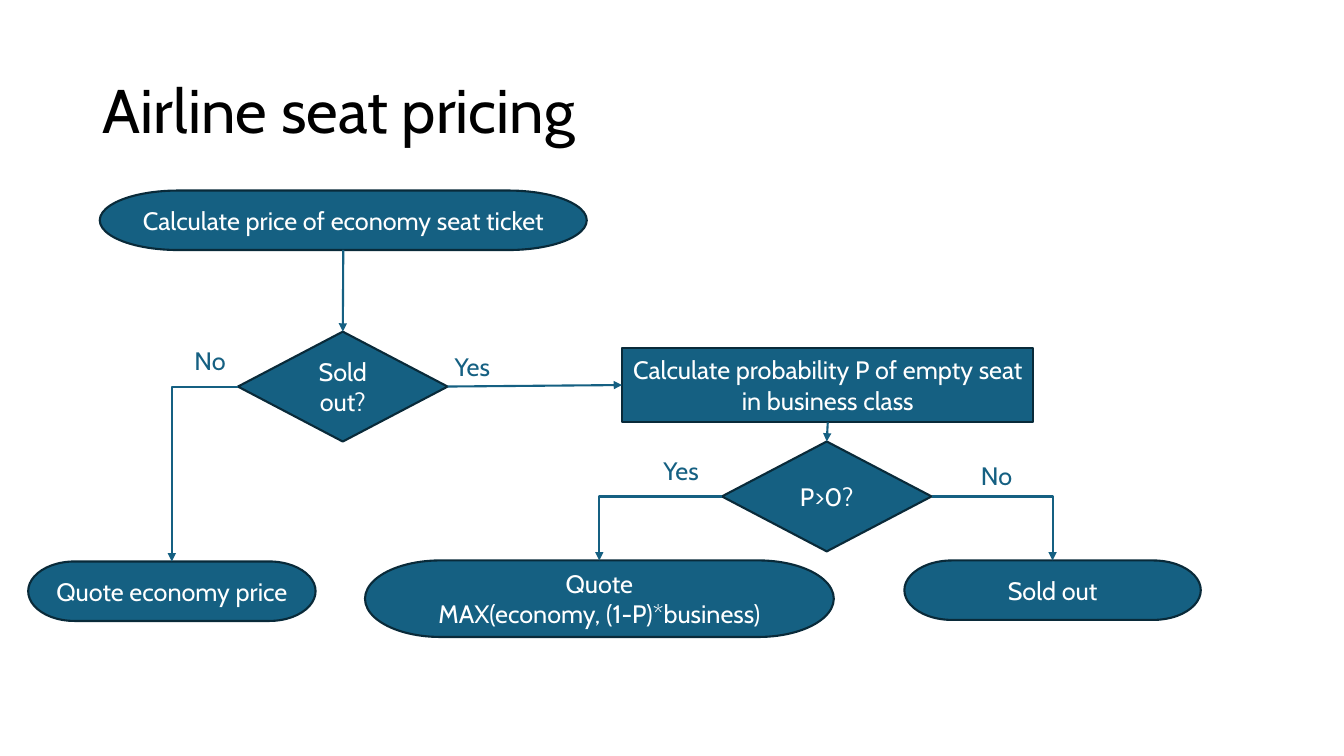
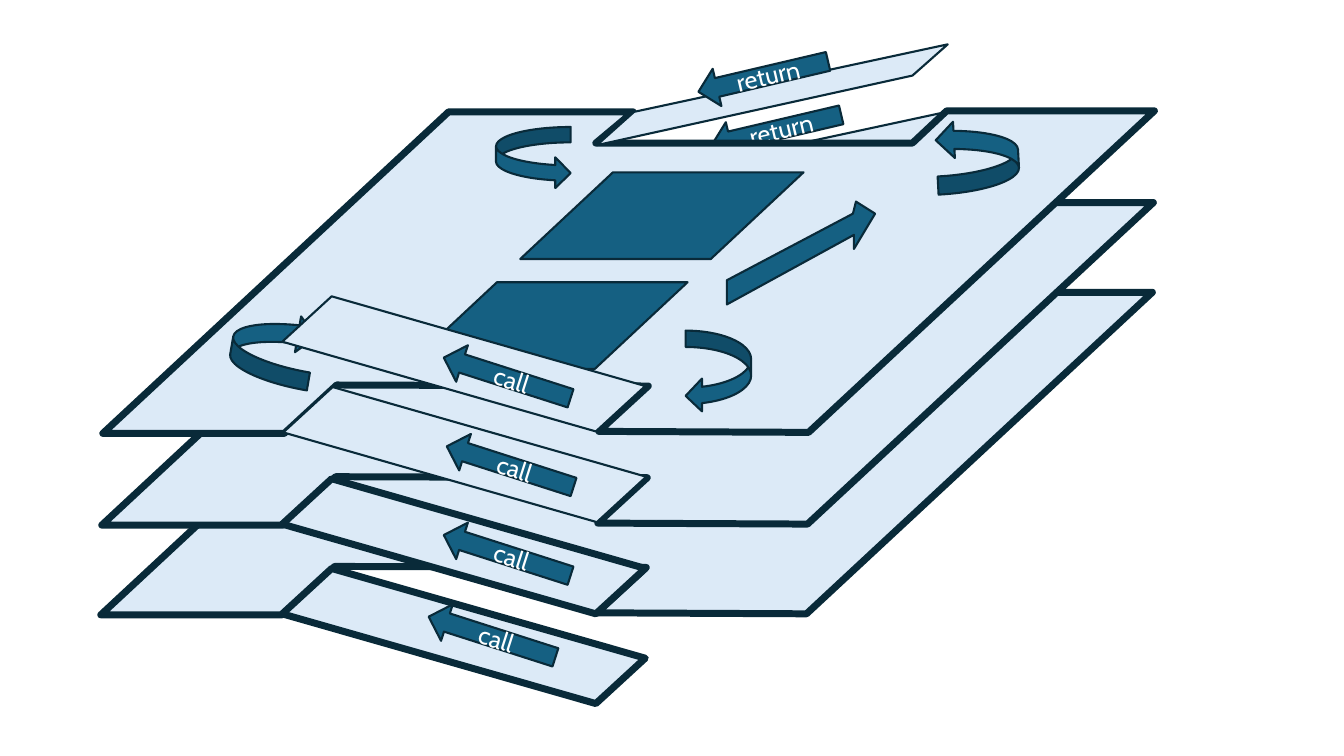
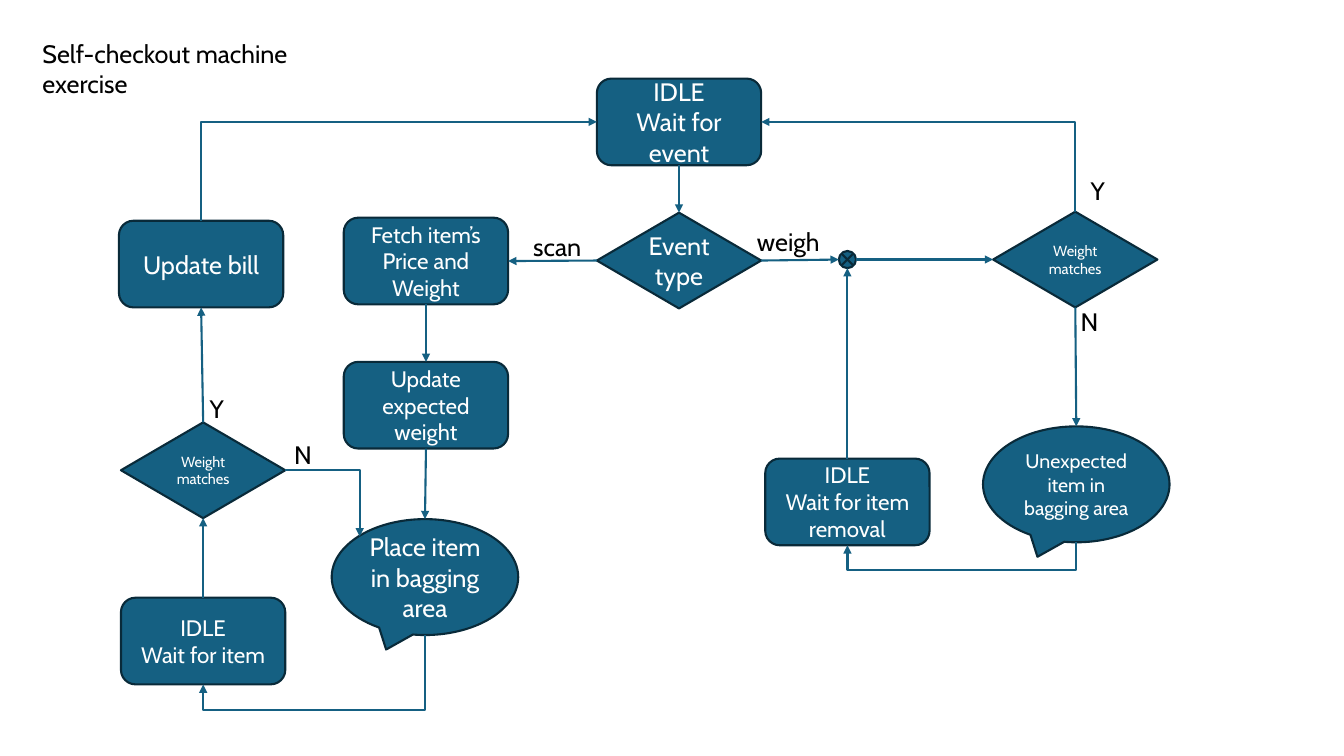
from lxml import etree
from pptx import Presentation
from pptx.dml.color import RGBColor
from pptx.enum.shapes import MSO_CONNECTOR, MSO_SHAPE
from pptx.enum.text import MSO_ANCHOR, MSO_AUTO_SIZE, PP_ALIGN
from pptx.oxml.ns import qn
from pptx.util import Inches, Pt

FONT = "Cabin"
BLUE, NAVY, PALE = "156082", "092A39", "DCEAF7"
WHITE, BLACK = "FFFFFF", "000000"
THIN, THICK = 1.5, 5

TERMINATOR = MSO_SHAPE.FLOWCHART_TERMINATOR
DECISION = MSO_SHAPE.FLOWCHART_DECISION
JUNCTION = MSO_SHAPE.FLOWCHART_SUMMING_JUNCTION
PROCESS = MSO_SHAPE.RECTANGLE
STEP = MSO_SHAPE.ROUNDED_RECTANGLE
SPEECH = MSO_SHAPE.OVAL_CALLOUT
LEFT_ARROW = MSO_SHAPE.LEFT_ARROW
CURVED_LEFT = MSO_SHAPE.CURVED_LEFT_ARROW
CURVED_RIGHT = MSO_SHAPE.CURVED_RIGHT_ARROW
STRAIGHT, ELBOW = MSO_CONNECTOR.STRAIGHT, MSO_CONNECTOR.ELBOW

TOP, LEFT, BOTTOM, RIGHT, UPPER_LEFT = range(5)
# Share of the width and height at which each connection point lies
SITES = [(0.5, 0), (0, 0.5), (0.5, 1), (1, 0.5), (0.15, 0.15)]


def style_shape(shape, text="", size=18, fill=BLUE, line_width=THIN):
    shape.shadow.inherit = False
    shape.fill.solid()
    shape.fill.fore_color.rgb = RGBColor.from_string(fill)
    shape.line.color.rgb = RGBColor.from_string(NAVY)
    shape.line.width = Pt(line_width)
    if text:
        shape.text_frame.text = text
        for paragraph in shape.text_frame.paragraphs:
            paragraph.alignment = PP_ALIGN.CENTER
            paragraph.font.name = FONT
            paragraph.font.size = Pt(size)
            paragraph.font.color.rgb = RGBColor.from_string(WHITE)


def add_flow(slide, source, source_site, target, target_site, turn=None):
    """Draw an arrow: straight without turn, one corner at 0, else dipping by turn inches."""
    (x1, y1), (x2, y2) = [
        (node.left + node.width * SITES[site][0], node.top + node.height * SITES[site][1])
        for node, site in ((source, source_site), (target, target_site))
    ]
    upright = turn is not None and source_site in (TOP, BOTTOM)
    dx, dy = x2 - x1, y2 - y1
    if upright:  # stored lying down, then turned by a quarter
        mid_x, mid_y = (x1 + x2) / 2, (y1 + y2) / 2
        x1, y1 = mid_x - dy / 2, mid_y + dx / 2
        x2, y2 = mid_x + dy / 2, mid_y - dx / 2
    flow = slide.shapes.add_connector(
        STRAIGHT if turn is None else ELBOW, int(x1), int(y1), int(x2), int(y2))
    properties = flow._element.spPr
    if turn is None:
        if source.auto_shape_type != JUNCTION:
            flow.begin_connect(source, source_site)
        if target.auto_shape_type != JUNCTION:
            flow.end_connect(target, target_site)
    else:
        geometry = properties.find(qn("a:prstGeom"))
        if upright:
            properties.find(qn("a:xfrm")).set("rot", "5400000")
        if turn:
            share = round(100000 * Inches(turn) / dy)
            etree.SubElement(geometry.find(qn("a:avLst")), qn("a:gd"),
                             name="adj1", fmla=f"val {share}")
        else:
            geometry.set("prst", "bentConnector2")
    flow.line.color.rgb = RGBColor.from_string(BLUE)
    flow.line.width = Pt(THIN)
    etree.SubElement(properties.find(qn("a:ln")), qn("a:tailEnd"), type="triangle")
    etree.SubElement(properties, qn("a:effectLst"))


prs = Presentation()
prs.slide_width, prs.slide_height = Inches(13.33), Inches(7.5)
TITLE_ONLY, BLANK = prs.slide_layouts[5], prs.slide_layouts[6]
pricing_slide = prs.slides.add_slide(TITLE_ONLY)
calls_slide = prs.slides.add_slide(BLANK)
checkout_slide = prs.slides.add_slide(TITLE_ONLY)

# Flowcharts: nodes are (kind, left, top, width, height, text, size)
pricing_nodes = {
    "start": (TERMINATOR, 0.99, 1.89, 4.83, 0.59, "Calculate price of economy seat ticket", 18),
    "sold out?": (DECISION, 2.36, 3.29, 2.08, 1.09, "Sold out?", 18),
    "chance?": (DECISION, 7.16, 4.38, 2.08, 1.09, "P>0?", 18),
    "economy": (TERMINATOR, 0.28, 5.57, 2.85, 0.59, "Quote economy price", 18),
    "business": (TERMINATOR, 3.62, 5.56, 4.65, 0.76,
                 "Quote\nMAX(economy, (1-P)*business)", 18),
    "sold out": (TERMINATOR, 8.97, 5.56, 2.94, 0.59, "Sold out", 18),
    "probability": (PROCESS, 6.17, 3.45, 4.08, 0.74,
                    "Calculate probability P of empty seat in business class", 18),
}
pricing_flows = [
    ("start", BOTTOM, "sold out?", TOP, None),
    ("sold out?", LEFT, "economy", TOP, 0),
    ("sold out?", RIGHT, "probability", LEFT, None),
    ("probability", BOTTOM, "chance?", TOP, None),
    ("chance?", LEFT, "business", TOP, 0),
    ("chance?", RIGHT, "sold out", TOP, 0),
]
pricing_labels = [
    ("Yes", 4.41, 3.44, 0.68), ("No", 9.63, 4.52, 0.68),
    ("Yes", 6.48, 4.47, 0.68), ("No", 1.83, 3.38, 0.68),
]

STEP_SIZE, CHECK_SIZE, SPEECH_SIZE = (1.63, 0.86), (1.63, 0.95), (1.85, 1.15)
checkout_nodes = {
    "idle": (STEP, 5.92, 0.78, *STEP_SIZE, "IDLE\nWait for event", 18),
    "event": (DECISION, 5.92, 2.11, *CHECK_SIZE, "Event type", 18),
    "fetch": (STEP, 3.41, 2.16, *STEP_SIZE, "Fetch item’s\nPrice and Weight", 16),
    "expect": (STEP, 3.41, 3.59, *STEP_SIZE, "Update expected weight", 16),
    "place": (SPEECH, 3.29, 5.15, *SPEECH_SIZE, "Place item in bagging area", 18),
    "await item": (STEP, 1.2, 5.93, *STEP_SIZE, "IDLE\nWait for item", 16),
    "scan check": (DECISION, 1.2, 4.19, *CHECK_SIZE, "Weight matches", 10.5),
    "bill": (STEP, 1.18, 2.19, *STEP_SIZE, "Update bill", 18),
    "weigh check": (DECISION, 9.85, 2.1, *CHECK_SIZE, "Weight matches", 10.5),
    "unexpected": (SPEECH, 9.75, 4.23, *SPEECH_SIZE, "Unexpected item in bagging area", 14),
    "await removal": (STEP, 7.59, 4.55, *STEP_SIZE, "IDLE\nWait for item removal", 16),
    "merge": (JUNCTION, 8.32, 2.49, 0.17, 0.17, "", 18),
}
checkout_flows = [
    ("idle", BOTTOM, "event", TOP, None),
    ("event", LEFT, "fetch", RIGHT, None),
    ("fetch", BOTTOM, "expect", TOP, None),
    ("expect", BOTTOM, "place", TOP, None),
    ("await item", TOP, "scan check", BOTTOM, None),
    ("scan check", RIGHT, "place", UPPER_LEFT, 0),
    ("place", BOTTOM, "await item", BOTTOM, 0.74),
    ("scan check", TOP, "bill", BOTTOM, None),
    ("bill", TOP, "idle", LEFT, 0),
    ("weigh check", TOP, "idle", RIGHT, 0),
    ("event", RIGHT, "merge", LEFT, None),
    ("weigh check", BOTTOM, "unexpected", TOP, None),
    ("unexpected", BOTTOM, "await removal", BOTTOM, 0.28),
    ("await removal", TOP, "merge", BOTTOM, None),
    ("merge", RIGHT, "weigh check", LEFT, None),
]
checkout_labels = [
    ("scan", 5.19, 2.25, 0.78), ("weigh", 7.41, 2.2, 0.96),
    ("Y", 10.72, 1.69, 0.56), ("Y", 1.98, 3.85, 0.56),
    ("N", 10.62, 2.99, 0.42), ("N", 2.82, 4.31, 0.56),
]

for slide, nodes, flows, labels, label_color in (
    (pricing_slide, pricing_nodes, pricing_flows, pricing_labels, BLUE),
    (checkout_slide, checkout_nodes, checkout_flows, checkout_labels, BLACK),
):
    drawn = {}
    for name, (kind, left, top, width, height, text, size) in nodes.items():
        drawn[name] = slide.shapes.add_shape(
            kind, Inches(left), Inches(top), Inches(width), Inches(height))
        style_shape(drawn[name], text, size)
    for source, source_site, target, target_site, turn in flows:
        add_flow(slide, drawn[source], source_site, drawn[target], target_site, turn)
    for text, left, top, width in labels:
        label = slide.shapes.add_textbox(Inches(left), Inches(top), Inches(width), Inches(0.4))
        label.text_frame.word_wrap = True
        label.text_frame.text = text
        font = label.text_frame.paragraphs[0].font
        font.name, font.size = FONT, Pt(18)
        font.color.rgb = RGBColor.from_string(label_color)

# Titles
for slide, text, box, size, anchor, spacing in (
    (pricing_slide, "Airline seat pricing", (0.92, 0.4, 11.5, 1.45), 44, MSO_ANCHOR.MIDDLE, 0.9),
    (checkout_slide, "Self-checkout machine exercise", (0.32, 0.33, 2.9, 0.71), 18,
     MSO_ANCHOR.TOP, 1.0),
):
    title = slide.shapes.title
    title.left, title.top, title.width, title.height = [Inches(length) for length in box]
    frame = title.text_frame
    frame.text = text
    frame.word_wrap = True
    frame.auto_size = MSO_AUTO_SIZE.NONE
    frame.vertical_anchor = anchor
    paragraph = frame.paragraphs[0]
    paragraph.alignment = PP_ALIGN.LEFT
    paragraph.line_spacing = spacing
    paragraph.font.name, paragraph.font.size = FONT, Pt(size)
    paragraph.font.color.rgb = RGBColor.from_string(BLACK)

# Stacked call sheets: outlines are (fill, points from the upper left corner)
outlines = {
    "sheet": (PALE, [(3.43, 0.01), (5.26, 0.01), (4.89, 0.32), (8.03, 0.32), (8.37, 0),
                     (10.43, 0), (7, 3.19), (4.92, 3.18), (5.41, 2.73), (2.32, 2.72),
                     (1.8, 3.2), (0, 3.2)]),
    "call ramp": (PALE, [(0.49, 0), (3.6, 0.89), (3.11, 1.34), (0, 0.45)]),
    "return ramp": (PALE, [(3.48, 0), (0.37, 0.67), (0, 1), (3.13, 0.31)]),
    "block": (BLUE, [(0.92, 0), (2.81, 0), (1.89, 0.86), (0, 0.86)]),
    "advance": (BLUE, [(0, 0.78), (1.25, 0.12), (1.28, 0), (1.47, 0.12), (1.26, 0.47),
                       (1.26, 0.33), (0, 1.02)]),
}
# Arrows are (kind, width, height, rotation, text)
arrows = {
    "call": (LEFT_ARROW, 1.32, 0.38, 17.8, "call"),
    "return": (LEFT_ARROW, 1.32, 0.38, 346.8, "return"),
    "loop lower left": (CURVED_LEFT, 0.81, 0.72, 189.7, ""),
    "loop lower right": (CURVED_LEFT, 0.65, 0.81, 0, ""),
    "loop upper left": (CURVED_RIGHT, 0.74, 0.61, 0, ""),
    "loop upper right": (CURVED_RIGHT, 0.81, 0.72, 177, ""),
}
# From back to front
scene = [
    ("return", 7.04, 1.1, THIN),
    ("return ramp", 5.91, 1.11, THIN),
    ("return ramp", 5.89, 2.91, THIN),
    ("sheet", 1, 2.9, THICK),
    ("call ramp", 2.8, 5.64, THICK),
    ("return ramp", 5.9, 2.23, THICK),
    ("sheet", 1.01, 2.01, THICK),
    ("call ramp", 2.8, 4.75, THICK),
    ("return ramp", 5.91, 1.35, THICK),
    ("sheet", 1.02, 1.1, THICK),
    ("call ramp", 2.81, 3.84, THIN),
    ("return ramp", 5.92, 0.44, THIN),
    ("call", 4.4, 4.44, THIN),
    ("call", 4.37, 5.32, THIN),
    ("call", 4.22, 6.13, THIN),
    ("return", 6.91, 0.57, THIN),
    ("block", 4.01, 2.8, THIN),
    ("block", 5.16, 1.71, THIN),
    ("loop lower left", 2.3, 3.09, THIN),
    ("call ramp", 2.8, 2.94, THIN),
    ("loop lower right", 6.8, 3.28, THIN),
    ("call", 4.37, 3.56, THIN),
    ("loop upper left", 4.92, 1.26, THIN),
    ("loop upper right", 9.29, 1.19, THIN),
    ("advance", 7.21, 2, THIN),
]
for part, left, top, line_width in scene:
    if part in outlines:
        fill, points = outlines[part]
        corners = [(Inches(left + x), Inches(top + y)) for x, y in points]
        builder = calls_slide.shapes.build_freeform(*corners[0])
        builder.add_line_segments(corners[1:], close=True)
        style_shape(builder.convert_to_shape(), fill=fill, line_width=line_width)
    else:
        kind, width, height, rotation, text = arrows[part]
        arrow = calls_slide.shapes.add_shape(
            kind, Inches(left), Inches(top), Inches(width), Inches(height))
        arrow.rotation = rotation
        style_shape(arrow, text, line_width=line_width)

prs.save("out.pptx")
